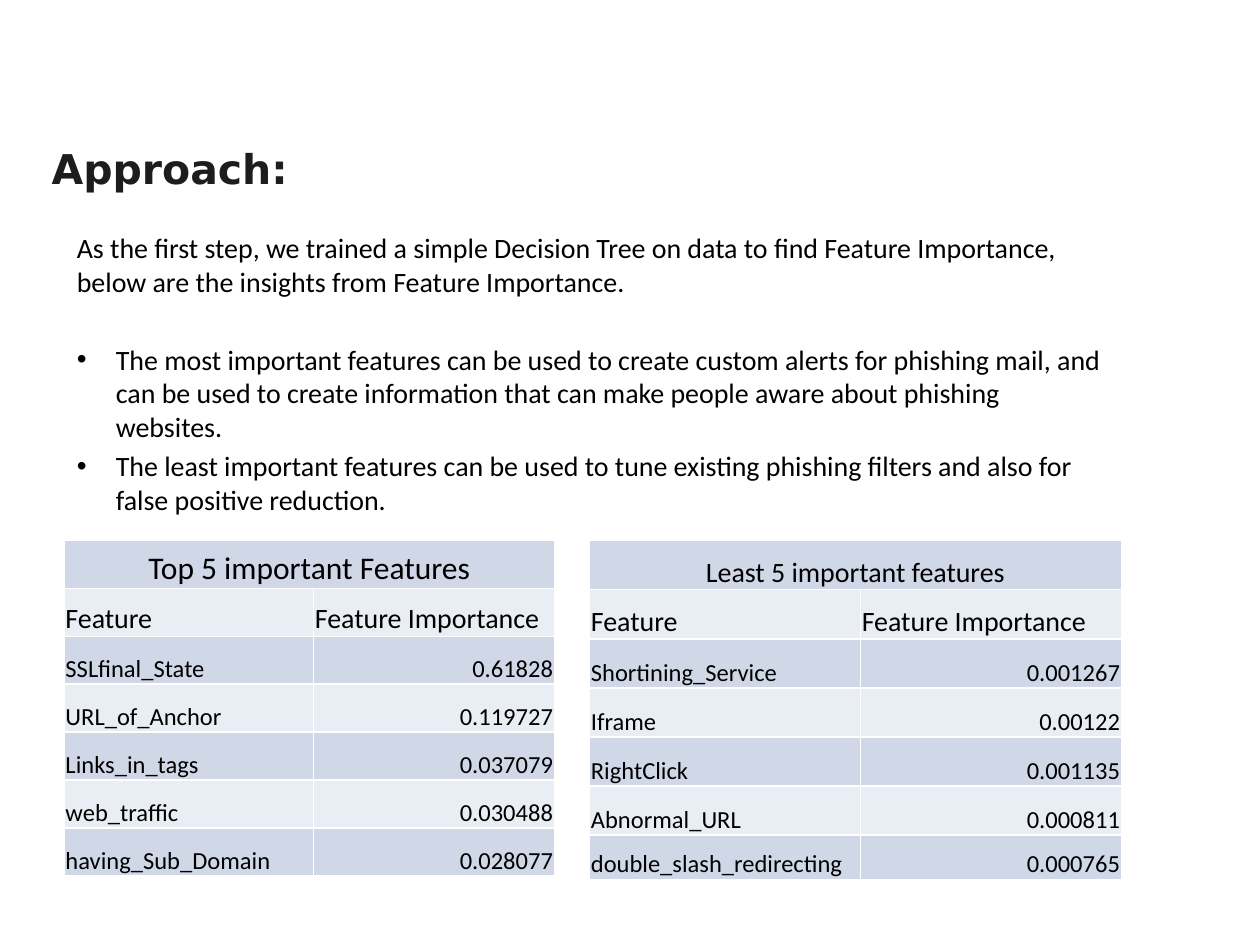
from lxml import etree
from pptx import Presentation
from pptx.dml.color import RGBColor
from pptx.enum.text import MSO_ANCHOR, MSO_AUTO_SIZE, PP_ALIGN
from pptx.oxml.ns import qn
from pptx.util import Inches, Pt


def format_runs(paragraph, size, color="000000", font="Calibri", bold=False):
    for run in paragraph.runs:
        run.font.size = Pt(size)
        run.font.name = font
        run.font.bold = bold
        run.font.color.rgb = RGBColor.from_string(color)


def place(shape, left, top, width, height):
    shape.left, shape.top = Inches(left), Inches(top)
    shape.width, shape.height = Inches(width), Inches(height)
    shape.text_frame.word_wrap = True
    shape.text_frame.auto_size = MSO_AUTO_SIZE.NONE
    shape.text_frame.vertical_anchor = MSO_ANCHOR.TOP


presentation = Presentation()
presentation.slide_width, presentation.slide_height = Inches(10), Inches(7.5)
slide = presentation.slides.add_slide(presentation.slide_layouts[1])

# Title
title = slide.shapes.title
place(title, 0.31, 1.02, 9.32, 0.63)
title_frame = title.text_frame
title_frame.margin_left = title_frame.margin_right = Inches(0.1)
title_frame.margin_top = title_frame.margin_bottom = Inches(0.1)
title_frame.text = "Approach:"
heading = title_frame.paragraphs[0]
heading.alignment = PP_ALIGN.LEFT
heading.line_spacing = 1.05
format_runs(heading, 23.4, "1D1D1D", "DejaVu Sans", True)

# Introduction and bullets: text, bulleted, space before in points
body_paragraphs = [
    ("As the first step, we trained a simple Decision Tree on data to find Feature "
     "Importance, below are the insights from Feature Importance.", False, 3.2),
    ("The most important features can be used to create custom alerts for phishing mail, "
     "and can be used to create information that can make people aware about phishing "
     "websites.", True, 25.5),
    ("The least important features can be used to tune existing phishing filters and also "
     "for false positive reduction.", True, 3.2),
]
body = slide.placeholders[1]
place(body, 0.51, 1.78, 8.33, 2.52)
body.text_frame.text = "\n".join(text for text, _, _ in body_paragraphs)
for paragraph, (_, bulleted, space) in zip(body.text_frame.paragraphs, body_paragraphs):
    paragraph.space_before = Pt(space)
    format_runs(paragraph, 16)
    properties = paragraph._p.get_or_add_pPr()
    indent = Inches(0.31) if bulleted else 0
    properties.set("marL", str(indent))
    properties.set("indent", str(-indent))
    if bulleted:
        etree.SubElement(properties, qn("a:buChar")).set("char", "•")
    else:
        etree.SubElement(properties, qn("a:buNone"))

# Feature tables: left edge, column widths, row heights, heading size, heading, rows
feature_tables = [
    (0.51, (1.98, 1.91), [0.38] * 7, 18, "Top 5 important Features", [
        ("SSLfinal_State", "0.61828"),
        ("URL_of_Anchor", "0.119727"),
        ("Links_in_tags", "0.037079"),
        ("web_traffic", "0.030488"),
        ("having_Sub_Domain", "0.028077"),
    ]),
    (4.68, (2.15, 2.07), [0.39] * 6 + [0.35], 16, "Least 5 important features", [
        ("Shortining_Service", "0.001267"),
        ("Iframe", "0.00122"),
        ("RightClick", "0.001135"),
        ("Abnormal_URL", "0.000811"),
        ("double_slash_redirecting", "0.000765"),
    ]),
]
for left, widths, heights, heading_size, heading_text, features in feature_tables:
    rows = [(heading_text, ""), ("Feature", "Feature Importance")] + features
    table = slide.shapes.add_table(
        len(rows), 2, Inches(left), Inches(4.29),
        Inches(sum(widths)), Inches(sum(heights))).table
    table.first_row = False
    table.cell(0, 0).merge(table.cell(0, 1))
    for column, width in zip(table.columns, widths):
        column.width = Inches(width)
    for row_index, (values, height) in enumerate(zip(rows, heights)):
        table.rows[row_index].height = Inches(height)
        size = (heading_size, 16)[row_index] if row_index < 2 else 14
        for column_index, value in enumerate(values):
            cell = table.cell(row_index, column_index)
            cell.fill.solid()
            cell.fill.fore_color.rgb = RGBColor.from_string(
                "E9EDF4" if row_index % 2 else "D0D8E8")
            cell.vertical_anchor = MSO_ANCHOR.BOTTOM
            cell.margin_left = cell.margin_right = cell.margin_top = Inches(0.01)
            cell.margin_bottom = 0
            if cell.is_spanned:
                continue
            cell.text_frame.text = value
            paragraph = cell.text_frame.paragraphs[0]
            format_runs(paragraph, size)
            if row_index == 0:
                paragraph.alignment = PP_ALIGN.CENTER
            elif row_index > 1 and column_index == 1:
                paragraph.alignment = PP_ALIGN.RIGHT

presentation.save("out.pptx")
